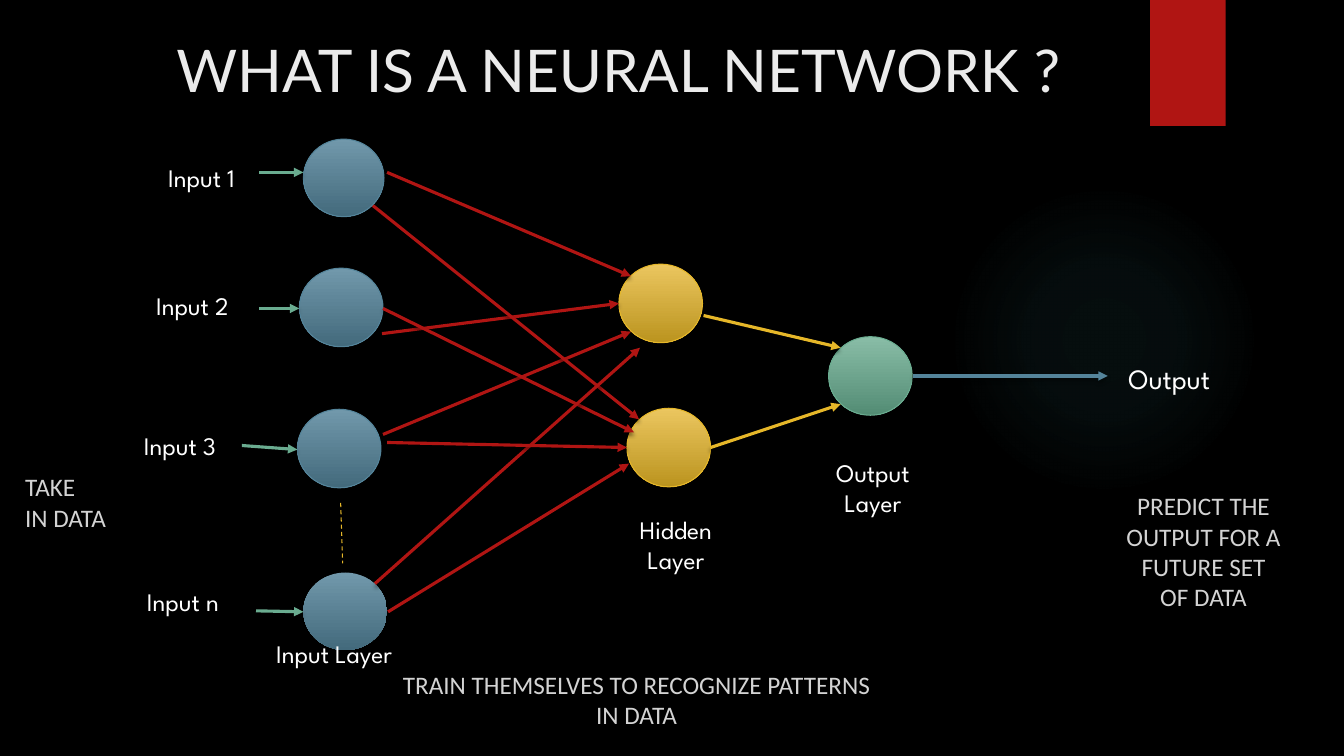
import dataclasses

import pptx
import pptx.dml.color
import pptx.enum.dml
import pptx.enum.shapes
import pptx.enum.text
import pptx.oxml
import pptx.oxml.ns
import pptx.util

WIDTH = pptx.util.Inches(13.333)
HEIGHT = pptx.util.Inches(7.5)
COLS = 40
CELL = WIDTH / COLS

SHAPE = pptx.enum.shapes.MSO_SHAPE
ALIGN = pptx.enum.text.PP_ALIGN


@dataclasses.dataclass(frozen=True)
class Theme:
    back: str = "000000"
    title: str = "EBEBEB"
    label: str = "FFFFFF"
    note: str = "D3D3D3"
    red: str = "B01513"
    gold: str = "E6B729"
    blue: str = "54849A"
    green: str = "6AAC90"
    glow: str = "50B9C1"
    blue_fade: tuple = ("7198AB", "436A7C")
    gold_fade: tuple = ("EBC65F", "BB941F")
    green_fade: tuple = ("89BDA7", "538C74")
    head_font: str = "Lato"
    label_font: str = "League Spartan"
    note_font: str = "Calibri"
    head_size: int = 42
    out_size: int = 20
    text_size: int = 18
    thick: float = 2.25
    thin: float = 0.75


THEME = Theme()


def grid(*spans):
    return [round(span * CELL) for span in spans]


def tint(code):
    return pptx.dml.color.RGBColor.from_string(code)


def make(tag):
    head, rest = tag.split(" ", 1)
    return pptx.oxml.parse_xml(f"<{head} {pptx.oxml.ns.nsdecls('a')} {rest}")


def shade(item, alpha=45, blur=3, drop=2):
    props = item._element.spPr
    list_tag = props.find(pptx.oxml.ns.qn("a:effectLst"))
    if list_tag is None:
        list_tag = make("a:effectLst />")
        props.append(list_tag)
    if alpha:
        list_tag.append(make(
            f'a:outerShdw blurRad="{pptx.util.Pt(blur)}" dist="{pptx.util.Pt(drop)}" '
            f'dir="5400000" rotWithShape="0"><a:srgbClr val="000000">'
            f'<a:alpha val="{alpha * 1000}"/></a:srgbClr></a:outerShdw>'))


def add_block(slide, kind, box):
    block = slide.shapes.add_shape(kind, *grid(*box))
    block.shadow.inherit = False
    block.line.fill.background()
    return block


def add_glow(slide, box):
    glow = add_block(slide, SHAPE.OVAL, box)
    stops = "".join(
        f'<a:gs pos="{pos * 1000}"><a:srgbClr val="{THEME.glow}">'
        f'<a:alpha val="{alpha * 1000}"/></a:srgbClr></a:gs>'
        for pos, alpha in ((0, 7), (36, 6), (69, 0)))
    fade = make(
        f'a:gradFill rotWithShape="1"><a:gsLst>{stops}</a:gsLst><a:path path="circle">'
        '<a:fillToRect l="50000" t="50000" r="50000" b="50000"/></a:path></a:gradFill>')
    glow._element.spPr.find(pptx.oxml.ns.qn("a:prstGeom")).addnext(fade)


def add_ribbon(slide, box):
    ribbon = add_block(slide, SHAPE.RECTANGLE, box)
    ribbon.fill.solid()
    ribbon.fill.fore_color.rgb = tint(THEME.red)
    shade(ribbon)


def add_node(slide, left, top, fade, edge, wide=2.49, high=2.34):
    node = add_block(slide, SHAPE.OVAL, (left, top, wide, high))
    node.fill.gradient()
    node.fill.gradient_angle = 270
    for stop, code in zip(node.fill.gradient_stops, fade):
        stop.color.rgb = tint(code)
    if edge:
        node.line.color.rgb = tint(edge)
        node.line.width = pptx.util.Pt(THEME.thin)
        shade(node)
    else:
        shade(node, 60, 5, 3)


def add_line(slide, ends, code, width):
    kind = pptx.enum.shapes.MSO_CONNECTOR.STRAIGHT
    line = slide.shapes.add_connector(kind, *grid(*ends))
    line.line.color.rgb = tint(code)
    line.line.width = pptx.util.Pt(width)
    return line


def add_arrow(slide, ends, code):
    arrow = add_line(slide, ends, code, THEME.thick)
    stroke = arrow._element.spPr.find(pptx.oxml.ns.qn("a:ln"))
    stroke.append(make('a:tailEnd type="triangle"/>'))
    shade(arrow)


def add_dash(slide, ends):
    dash = add_line(slide, ends, THEME.gold, THEME.thin)
    dash.line.dash_style = pptx.enum.dml.MSO_LINE.DASH
    shade(dash, alpha=0)


def style(frame, font, size, code, align):
    for para in frame.paragraphs:
        para.alignment = align
        for run in para.runs:
            run.font.name = font
            run.font.size = pptx.util.Pt(size)
            run.font.color.rgb = tint(code)


def add_text(slide, text, box, font, code, align=ALIGN.CENTER, size=THEME.text_size):
    frame = slide.shapes.add_textbox(*grid(*box)).text_frame
    frame.word_wrap = True
    frame.auto_size = pptx.enum.text.MSO_AUTO_SIZE.SHAPE_TO_FIT_TEXT
    frame.text = text
    style(frame, font, size, code, align)


def set_title(slide, text, box):
    title = slide.shapes.title
    title.left, title.top, title.width, title.height = grid(*box)
    frame = title.text_frame
    frame.text = text
    frame.word_wrap = True
    frame.vertical_anchor = pptx.enum.text.MSO_ANCHOR.MIDDLE
    style(frame, THEME.head_font, THEME.head_size, THEME.title, ALIGN.CENTER)


def draw_nodes(slide):
    add_node(slide, 9.03, 4.14, THEME.blue_fade, THEME.blue, 2.4, 2.31)
    for left, top in ((8.91, 7.98), (8.85, 12.18)):
        add_node(slide, left, top, THEME.blue_fade, THEME.blue)
    add_node(slide, 9.03, 17.04, THEME.blue_fade, None, high=2.31)
    for left, top in ((18.42, 7.86), (18.66, 12.15)):
        add_node(slide, left, top, THEME.gold_fade, THEME.gold)
    add_node(slide, 24.66, 10.02, THEME.green_fade, THEME.green)


def draw_arrows(slide):
    flows = {
        THEME.red: (
            (11.52, 5.13, 18.78, 8.22), (11.37, 9.93, 18.42, 9.03),
            (11.4, 12.93, 18.78, 9.87), (11.55, 18.21, 18.72, 13.8),
            (11.1, 6.12, 19.02, 12.48), (11.4, 9.18, 18.87, 12.87),
            (11.16, 17.37, 19.05, 10.35), (11.52, 13.17, 18.66, 13.32)),
        THEME.gold: ((20.94, 9.39, 25.02, 10.35), (21.15, 13.32, 25.02, 12.03)),
        THEME.blue: ((27.18, 11.19, 32.97, 11.19),),
        THEME.green: (
            (7.71, 5.13, 9.03, 5.13), (7.71, 9.18, 8.91, 9.18),
            (7.2, 13.26, 8.85, 13.38), (7.62, 18.18, 9.03, 18.21)),
    }
    for code, group in flows.items():
        for ends in group:
            add_arrow(slide, ends, code)
    add_dash(slide, (10.14, 14.97, 10.2, 16.77))


def draw_texts(slide):
    label = (THEME.label_font, THEME.label)
    note = (THEME.note_font, THEME.note)
    for name, left, top, wide in (("Input", 7.71, 18.84, 4.47),
                                  ("Hidden", 18.42, 15.15, 3.39),
                                  ("Output", 23.97, 13.47, 4.02)):
        add_text(slide, f"{name} Layer", (left, top, wide, 2.13), *label)
    add_text(slide, "Output", (32.25, 10.62, 5.1, 1.32), *label, size=THEME.out_size)
    for mark, left, top, wide in (("1", 4.71, 4.68, 3.54), ("2", 4.35, 8.49, 3.15),
                                  ("3", 3.99, 12.66, 3.18), ("n", 4.08, 17.31, 3.93)):
        add_text(slide, f"Input {mark}", (left, top, wide, 1.2), *label, ALIGN.LEFT)
    add_text(slide, "TAKE\nIN DATA", (0.45, 13.89, 3.12, 3.03), *note, ALIGN.LEFT)
    add_text(slide, "TRAIN THEMSELVES TO RECOGNIZE PATTERNS IN DATA",
             (11.64, 19.77, 14.61, 2.13), *note)
    add_text(slide, "PREDICT THE OUTPUT FOR A FUTURE SET OF DATA",
             (33.18, 14.46, 5.28, 6.66), *note)


def main():
    deck = pptx.Presentation()
    deck.slide_width, deck.slide_height = WIDTH, HEIGHT
    slide = deck.slides.add_slide(deck.slide_layouts[5])
    slide.background.fill.solid()
    slide.background.fill.fore_color.rgb = tint(THEME.back)
    add_glow(slide, (28.23, 5.49, 9.24, 9.24))
    add_ribbon(slide, (34.23, 0, 2.25, 3.75))
    set_title(slide, "WHAT IS A NEURAL NETWORK ?", (3.15, 0.63, 30.51, 2.82))
    draw_nodes(slide)
    draw_arrows(slide)
    draw_texts(slide)
    deck.save("out.pptx")


if __name__ == "__main__":
    main()
